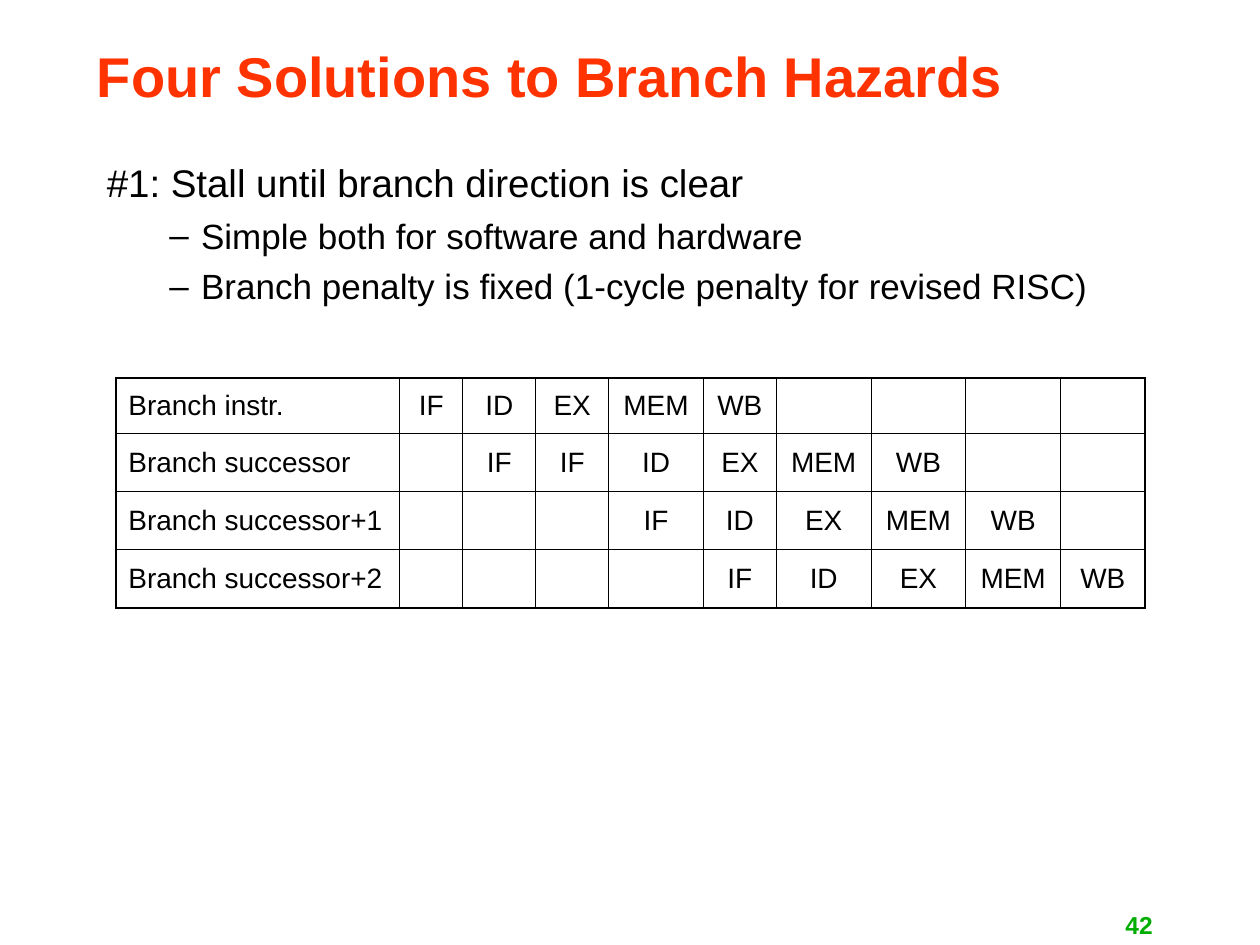
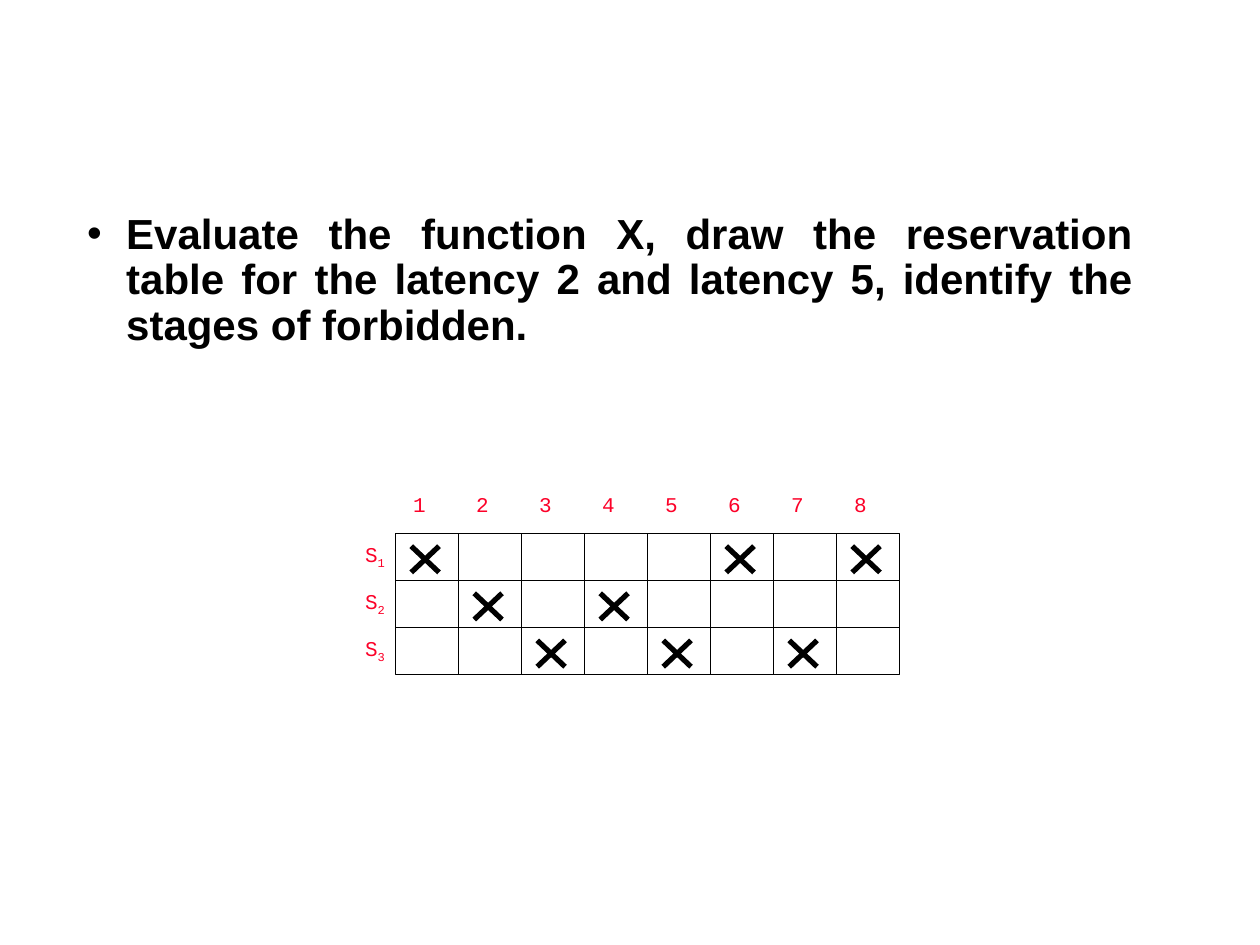
import dataclasses
import itertools

import lxml.etree
import pptx
import pptx.dml.color
import pptx.enum.shapes
import pptx.enum.text
import pptx.oxml.ns
import pptx.util

Cm = pptx.util.Cm
Pt = pptx.util.Pt
Rgb = pptx.dml.color.RGBColor.from_string
Align = pptx.enum.text.PP_ALIGN
Anchor = pptx.enum.text.MSO_ANCHOR
qn = pptx.oxml.ns.qn


@dataclasses.dataclass(frozen=True)
class Theme:
    sans: str = "Arial"
    mono: str = "Courier New"
    ink: str = "000000"
    head: str = "FF3300"
    page: str = "00AE00"
    mark: str = "FC0128"
    title: int = 32
    ask: int = 24
    lead: int = 22
    item: int = 20
    cell: int = 16
    foot: int = 14
    label: int = 12
    thin: float = 0.45
    edge: float = 1.08
    grid: float = 0.75
    cross: float = 3


T = Theme()

STAGES = ["IF", "ID", "EX", "MEM", "WB"]
# label, first cycle, stages
FLOW = [
    ("Branch instr.", 1, STAGES),
    ("Branch successor", 2, ["IF"] + STAGES),
    ("Branch successor+1", 4, STAGES),
    ("Branch successor+2", 5, STAGES),
]
WIDTHS = [5.72, 1.27, 1.47, 1.47, 1.91, 1.47, 1.91, 1.91, 1.91, 1.7]
HEIGHTS = [1.12, 1.17, 1.17, 1.17]

# cycles in which each stage is busy
BUSY = {1: (1, 6, 8), 2: (2, 4), 3: (3, 5, 7)}
CYCLES = 8


def write(frame, text, size, color=T.ink, font=T.sans, bold=False, align=Align.LEFT,
          line=None, before=0, bullet=None, left=0, hang=0, level=0, sub=""):
    """Add one paragraph, filling the first one while it is empty."""
    para = frame.paragraphs[0]
    if para.runs:
        para = frame.add_paragraph()
    para.alignment, para.level = align, level
    para.line_spacing, para.space_before = line, Pt(before)
    props = para._p.get_or_add_pPr()
    props.set("marL", str(Cm(left)))
    props.set("indent", str(-Cm(hang)))
    if bullet:
        tint = lxml.etree.SubElement(props, qn("a:buClr"))
        lxml.etree.SubElement(tint, qn("a:srgbClr"), val=T.ink)
        lxml.etree.SubElement(props, qn("a:buChar"), char=bullet)
    else:
        lxml.etree.SubElement(props, qn("a:buNone"))
    for part in filter(None, (text, sub)):
        run = para.add_run()
        run.text = part
        run.font.name, run.font.size, run.font.bold = font, Pt(size), bold
        run.font.color.rgb = Rgb(color)
    if sub:
        run._r.get_or_add_rPr().set("baseline", "-25000")


def place(shape, x, y, w, h, anchor=Anchor.TOP):
    """Move a text shape and return its frame."""
    shape.left, shape.top, shape.width, shape.height = Cm(x), Cm(y), Cm(w), Cm(h)
    frame = shape.text_frame
    frame.word_wrap = True
    frame.auto_size = pptx.enum.text.MSO_AUTO_SIZE.NONE
    frame.vertical_anchor = anchor
    return frame


def label(shapes, box, text, size, anchor=Anchor.TOP, **fmt):
    frame = place(shapes.add_textbox(0, 0, 0, 0), *box, anchor=anchor)
    write(frame, text, size, **fmt)


def head(slide, text, box):
    frame = place(slide.shapes.title, *box, anchor=Anchor.MIDDLE)
    write(frame, text, T.title, color=T.head, bold=True, line=0.9)


def points(slide, lead, items, box):
    frame = place(slide.placeholders[1], *box)
    write(frame, lead, T.lead, line=0.9, before=8.2, left=0.79, hang=0.79)
    for item in items:
        write(frame, item, T.item, line=0.9, before=7.5, bullet="–",
              left=1.9, hang=0.64, level=1)


def border(cell, **sides):
    """Draw cell sides L, R, T, B with widths in points."""
    props = cell._tc.get_or_add_tcPr()
    for i, (side, width) in enumerate(sides.items()):
        line = lxml.etree.Element(qn("a:ln" + side), w=str(Pt(width)))
        fill = lxml.etree.SubElement(line, qn("a:solidFill"))
        lxml.etree.SubElement(fill, qn("a:srgbClr"), val=T.ink)
        props.insert(i, line)


def flow(slide, x, y):
    """Table of pipeline stages by cycle."""
    rows, cols = len(HEIGHTS), len(WIDTHS)
    table = slide.shapes.add_table(
        rows, cols, Cm(x), Cm(y), Cm(sum(WIDTHS)), Cm(sum(HEIGHTS))).table
    table.first_row = table.horz_banding = False
    for col, width in zip(table.columns, WIDTHS):
        col.width = Cm(width)
    for row, height in zip(table.rows, HEIGHTS):
        row.height = Cm(height)
    for r, c in itertools.product(range(rows), range(cols)):
        name, start, stages = FLOW[r]
        texts = {0: name, **dict(enumerate(stages, start))}
        cell = table.cell(r, c)
        cell.fill.background()
        cell.vertical_anchor = Anchor.MIDDLE
        cell.margin_left = cell.margin_right = Cm(0.25)
        cell.margin_top, cell.margin_bottom = Cm(0.18), Cm(0.13)
        ends = {"L": c == 0, "R": c == cols - 1, "T": r == 0, "B": r == rows - 1}
        border(cell, **{k: T.edge if end else T.thin for k, end in ends.items()})
        if c in texts:
            write(cell.text_frame, texts[c], T.cell, line=0.93, before=4,
                  align=Align.CENTER if c else Align.LEFT)


def cross(shapes, x, y, w, h):
    for top, end in ((y, y + h), (y + h, y)):
        line = shapes.add_connector(pptx.enum.shapes.MSO_CONNECTOR.STRAIGHT,
                                    Cm(x), Cm(top), Cm(x + w), Cm(end))
        line.line.color.rgb, line.line.width = Rgb(T.ink), Pt(T.cross)
        lxml.etree.SubElement(line._element.spPr, qn("a:effectLst"))


def chart(slide, x, y, w, h):
    """Reservation grid of stages by cycle; w and h size one cell."""
    shapes = slide.shapes.add_group_shape().shapes
    fmt = dict(size=T.label, color=T.mark, font=T.mono, before=7.5)
    for c in range(CYCLES):
        label(shapes, (x + c * w + 0.1, y - 0.97, 1.04, 0.84), str(c + 1), **fmt)
    for r, (stage, busy) in enumerate(BUSY.items()):
        top = y + r * h
        label(shapes, (x - 0.87, top + 0.04, 1.04, 0.84), "S", sub=str(stage), **fmt)
        for c in range(CYCLES):
            left = x + c * w
            cell = shapes.add_shape(pptx.enum.shapes.MSO_SHAPE.RECTANGLE,
                                    Cm(left), Cm(top), Cm(w), Cm(h))
            cell.shadow.inherit = False
            cell.fill.background()
            cell.line.color.rgb, cell.line.width = Rgb(T.ink), Pt(T.grid)
            if c + 1 in busy:
                cross(shapes, left + 0.31, top + 0.26, 0.56, 0.53)


def hazards(slide):
    label(slide.shapes, (18.21, 18.24, 5.28, 0.81), "42", T.foot, color=T.page,
          bold=True, align=Align.RIGHT, anchor=Anchor.MIDDLE)
    head(slide, "Four Solutions to Branch Hazards", (1.7, 0, 23.11, 3.18))
    points(slide, "#1: Stall until branch direction is clear",
           ["Simple both for software and hardware",
            "Branch penalty is fixed (1-cycle penalty for revised RISC)"],
           (1.9, 3.18, 22.22, 3.18))
    flow(slide, 2.34, 7.62)


def task(slide):
    title = slide.shapes.title._element
    title.getparent().remove(title)
    frame = place(slide.placeholders[1], 1.5, 4.17, 21.59, 11.43)
    write(frame, "Evaluate the function X, draw the reservation table for the "
          "latency 2 and latency 5, identify the stages of forbidden.",
          T.ask, bold=True, align=Align.JUSTIFY, line=0.9, before=9,
          bullet="•", left=0.79, hang=0.79)
    chart(slide, 7.98, 10.75, 1.27, 0.95)


def main():
    deck = pptx.Presentation()
    deck.slide_width, deck.slide_height = Cm(25.4), Cm(19.05)
    for build in (hazards, task):
        build(deck.slides.add_slide(deck.slide_layouts[1]))
    deck.save("out.pptx")


if __name__ == "__main__":
    main()
